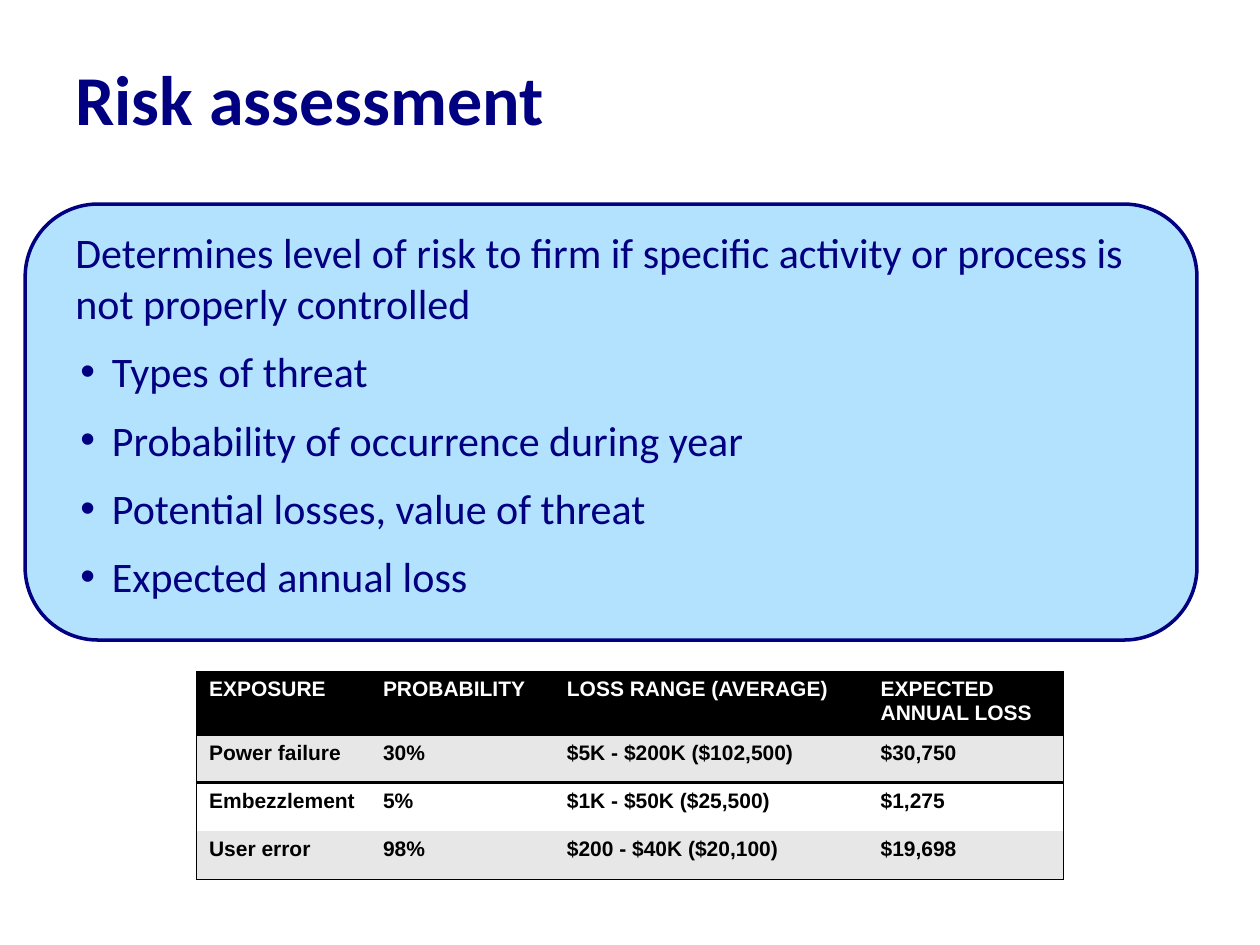
"""Build the risk assessment slide: title, rounded panel with bullets, exposure table."""
from dataclasses import dataclass

from lxml import etree
from pptx import Presentation
from pptx import util as u
from pptx.dml.color import RGBColor
from pptx.enum import shapes, text
from pptx.oxml import ns

GRID_COLUMNS, GRID_ROWS = 100, 75
PLAIN_TABLE_STYLE = "{2D5ABB26-0587-4C30-8999-92F81FD0307C}"


@dataclass(frozen=True)
class Theme:
    """Colours, fonts and type sizes of the slide."""
    navy: str = "000080"
    sky: str = "B3E2FF"
    black: str = "000000"
    white: str = "FFFFFF"
    band: str = "E7E7E7"
    text_font: str = "Calibri"
    table_font: str = "Arial"
    title_size: int = 40
    body_size: int = 24
    table_size: int = 12


class SlideBuilder:
    """Draws themed elements on one slide, placed in grid units."""

    def __init__(self, presentation, theme):
        """Add a blank slide and work out the grid unit."""
        self.theme = theme
        self.slide = presentation.slides.add_slide(presentation.slide_layouts[6])
        self.column = presentation.slide_width / GRID_COLUMNS
        self.row = presentation.slide_height / GRID_ROWS

    def box(self, left, top, width, height):
        """Turn grid units into slide lengths."""
        return (round(left * self.column), round(top * self.row),
                round(width * self.column), round(height * self.row))

    def format(self, paragraph, font, size, colour, bold=False):
        """Set the type of every run in a paragraph."""
        for run in paragraph.runs:
            run.font.name, run.font.size, run.font.bold = font, u.Pt(size), bold
            run.font.color.rgb = RGBColor.from_string(colour)

    def panel(self, *place):
        """Draw the rounded background panel."""
        shape = self.slide.shapes.add_shape(
            shapes.MSO_SHAPE.ROUNDED_RECTANGLE, *self.box(*place))
        shape.shadow.inherit = False
        shape.fill.solid()
        shape.fill.fore_color.rgb = RGBColor.from_string(self.theme.sky)
        shape.line.color.rgb = RGBColor.from_string(self.theme.navy)
        shape.line.width = u.Pt(2)

    def text_frame(self, *place):
        """Add a wrapping text box and return its frame."""
        frame = self.slide.shapes.add_textbox(*self.box(*place)).text_frame
        frame.word_wrap = True
        return frame

    def title(self, words, *place):
        """Write the slide title, centred vertically in its box."""
        frame = self.text_frame(*place)
        frame.vertical_anchor = text.MSO_ANCHOR.MIDDLE
        frame.text = words
        self.format(frame.paragraphs[0], self.theme.text_font,
                    self.theme.title_size, self.theme.navy, True)

    def body(self, lead, bullets, *place):
        """Write a lead paragraph followed by bullets."""
        frame = self.text_frame(*place)
        frame.text = "\n".join([lead, *bullets])
        for index, paragraph in enumerate(frame.paragraphs):
            paragraph.space_before, paragraph.space_after = u.Pt(4.3), u.Pt(6)
            self.format(paragraph, self.theme.text_font,
                        self.theme.body_size, self.theme.navy)
            if index:
                self.bullet(paragraph)

    def bullet(self, paragraph):
        """Give a paragraph a hanging round bullet."""
        properties = paragraph._p.get_or_add_pPr()
        properties.set("marL", str(u.Inches(0.29)))
        properties.set("indent", str(u.Inches(-0.25)))
        etree.SubElement(properties, ns.qn("a:buFont"), typeface="Arial")
        etree.SubElement(properties, ns.qn("a:buChar"), char="•")

    def border(self, cell, side, points):
        """Draw one black edge of a table cell."""
        line = etree.SubElement(cell._tc.get_or_add_tcPr(), ns.qn(f"a:ln{side}"),
                                w=str(u.Pt(points)))
        fill = etree.SubElement(line, ns.qn("a:solidFill"))
        etree.SubElement(fill, ns.qn("a:srgbClr"), val=self.theme.black)

    def table(self, records, left, top, widths, heights):
        """Draw a banded table with an outer frame and a dark header."""
        theme = self.theme
        last_row, last_column = len(heights) - 1, len(widths) - 1
        table = self.slide.shapes.add_table(
            len(heights), len(widths),
            *self.box(left, top, sum(widths), sum(heights))).table
        table._tbl.tblPr.find(ns.qn("a:tableStyleId")).text = PLAIN_TABLE_STYLE
        for column, width in zip(table.columns, widths):
            column.width = round(width * self.column)
        for r, (row, height, record) in enumerate(zip(table.rows, heights, records)):
            row.height = round(height * self.row)
            edges = {"T": {0: 1, 1: 2}.get(r), "B": {0: 2, last_row: 1}.get(r)}
            fill = theme.black if r == 0 else theme.band if r % 2 else theme.white
            for c, (cell, words) in enumerate(zip(row.cells, record)):
                sides = {"L": c == 0, "R": c == last_column, **edges}
                for side, points in sides.items():
                    if points:
                        self.border(cell, side, int(points))
                cell.fill.solid()
                cell.fill.fore_color.rgb = RGBColor.from_string(fill)
                cell.text_frame.text = words
                self.format(cell.text_frame.paragraphs[0], theme.table_font,
                            theme.table_size, theme.black if r else theme.white, True)


def main():
    """Build and save the presentation."""
    presentation = Presentation()
    presentation.slide_width, presentation.slide_height = u.Inches(10), u.Inches(7.5)
    builder = SlideBuilder(presentation, Theme())
    builder.panel(2, 16.2, 93, 34.6)
    builder.title("Risk assessment", 5, 1.5, 90, 12.5)
    builder.body(
        "Determines level of risk to firm if specific activity or process is "
        "not properly controlled",
        ["Types of threat", "Probability of occurrence during year",
         "Potential losses, value of threat", "Expected annual loss"],
        5, 17.5, 90, 49.5)
    builder.table(
        [("EXPOSURE", "PROBABILITY", "LOSS RANGE (AVERAGE)", "EXPECTED ANNUAL LOSS"),
         ("Power failure", "30%", "$5K - $200K ($102,500)", "$30,750"),
         ("Embezzlement", "5%", "$1K - $50K ($25,500)", "$1,275"),
         ("User error", "98%", "$200 - $40K ($20,100)", "$19,698")],
        15.6, 53.3, [13.8, 14.6, 24.9, 15.5], [4.7] + [3.83] * 3)
    presentation.save("out.pptx")


if __name__ == "__main__":
    main()
